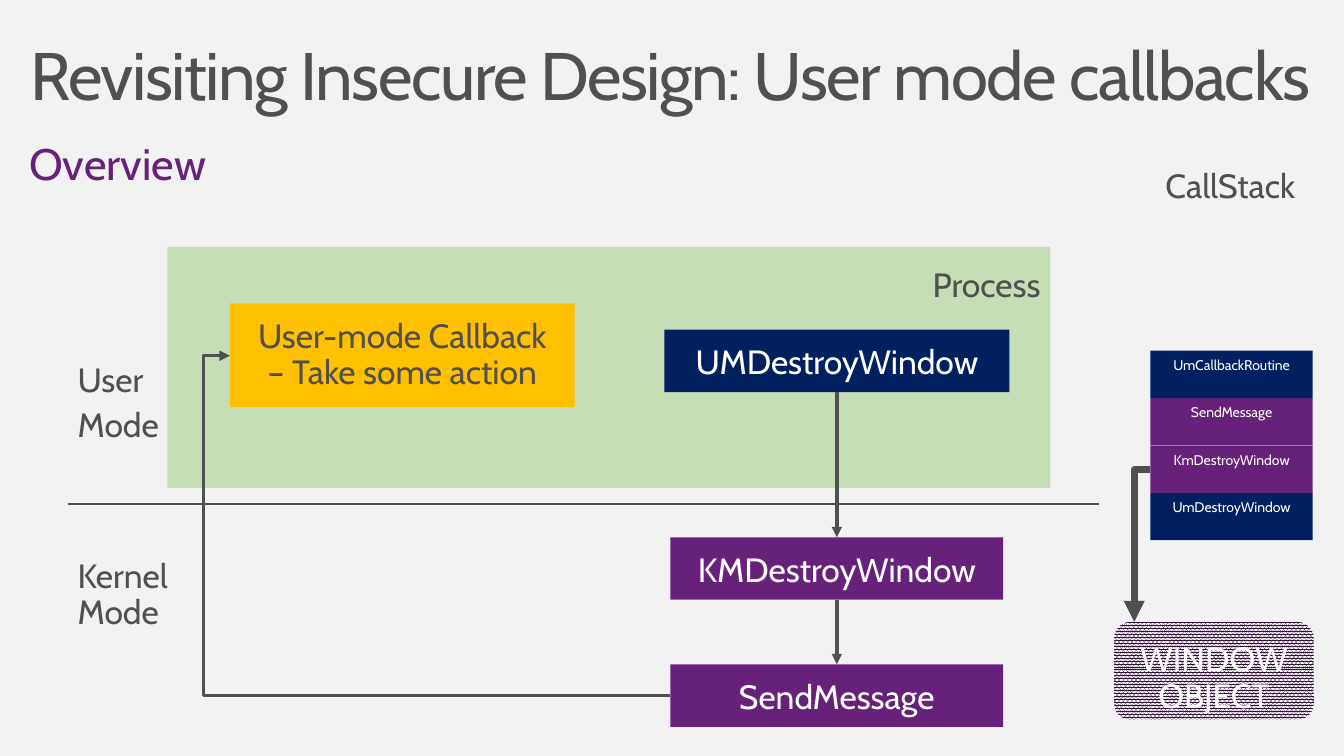
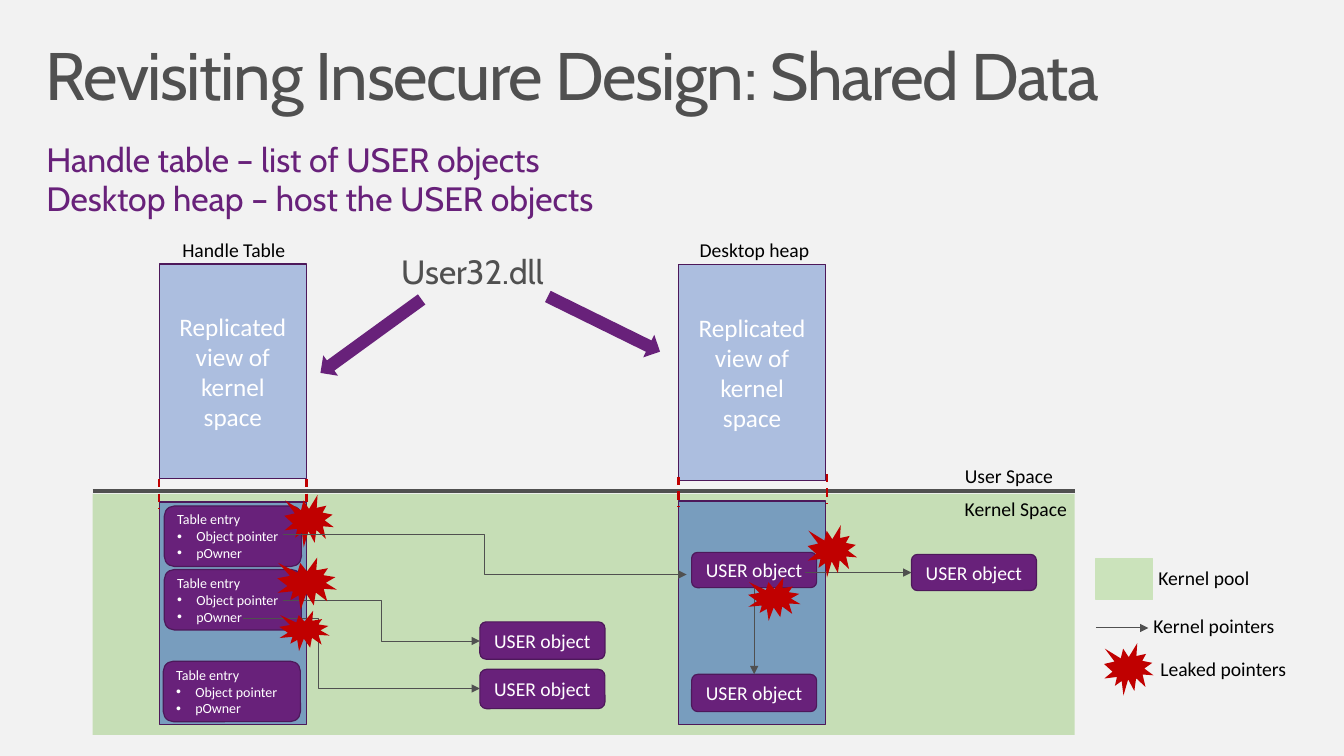
"""Build two slides on user mode callbacks and shared data."""
from dataclasses import dataclass, replace
from typing import NamedTuple, Sequence

from lxml.etree import SubElement
from pptx import Presentation
from pptx.dml.color import RGBColor
from pptx.dml.fill import FillFormat
from pptx.enum.dml import MSO_LINE, MSO_PATTERN
from pptx.enum.shapes import MSO_CONNECTOR as Link, MSO_SHAPE as Kind
from pptx.enum.text import MSO_ANCHOR as Anchor, MSO_AUTO_SIZE as Auto, PP_ALIGN as Align
from pptx.oxml.ns import qn
from pptx.shapes.autoshape import Shape
from pptx.shapes.connector import Connector
from pptx.slide import Slide
from pptx.util import Inches, Pt

PAPER, GREY, PURPLE, PLUM = "F2F2F2", "505050", "68217A", "4D185A"
NAVY, GOLD, GREEN, LIME = "002060", "FFC000", "A9D18E", "CBE3BB"
BLUE, RED, WHITE, BLACK = "4472C4", "C00000", "FFFFFF", "000000"


class Spot(NamedTuple):
    left: float
    top: float
    width: float
    height: float


class Point(NamedTuple):
    x: float
    y: float


class Run(NamedTuple):
    text: str
    size: float = 0


@dataclass(frozen=True)
class Style:
    size: float
    hue: str
    face: str = "Cabin"
    lead: float = 0.9
    before: float = 0
    after: float = 0
    align: Align = Align.LEFT
    pads: tuple[float, float] = (0.2, 0.16)
    anchor: Anchor = Anchor.TOP
    grow: bool = False
    wrap: bool = True
    space: int = 0
    dots: bool = False


TITLE = Style(48, GREY, pads=(0.16, 0.1), space=-100)
HEAD = Style(31.4, PURPLE, before=6.3, pads=(0.16, 0.1))
LIST = replace(HEAD, size=24.1, lead=0.8, before=4.8)
LABEL = Style(24, GREY, after=6, grow=True)
FREE = replace(LABEL, wrap=False)
STEP = Style(24, WHITE, align=Align.CENTER)
STACK = replace(STEP, size=10, after=6, grow=True)
NOTE = Style(14, BLACK, "Calibri", 1, pads=(0.1, 0.05), grow=True)
OBJECT = replace(NOTE, hue=WHITE, align=Align.CENTER, anchor=Anchor.MIDDLE, grow=False)
VIEW = replace(OBJECT, size=18)
ENTRY = replace(OBJECT, size=10, align=Align.LEFT, dots=True)


def tint(fill: FillFormat, hue: str, alpha: int = 100) -> None:
    fill.solid()
    fill.fore_color.rgb = RGBColor.from_string(hue)
    if alpha < 100:
        node = fill._xPr.find(qn("a:solidFill"))[0]
        SubElement(node, qn("a:alpha")).set("val", str(alpha * 1000))


def say(shape: Shape, lines: Sequence[Sequence[Run]], style: Style) -> None:
    frame = shape.text_frame
    frame.word_wrap = style.wrap
    frame.auto_size = Auto.SHAPE_TO_FIT_TEXT if style.grow else Auto.NONE
    frame.vertical_anchor = style.anchor
    frame.margin_left = frame.margin_right = Inches(style.pads[0])
    frame.margin_top = frame.margin_bottom = Inches(style.pads[1])
    for rank, line in enumerate(lines):
        para = frame.add_paragraph() if rank else frame.paragraphs[0]
        para.alignment, para.line_spacing = style.align, style.lead
        para.space_before, para.space_after = Pt(style.before), Pt(style.after)
        if style.dots and rank:
            prop = para._p.get_or_add_pPr()
            prop.set("marL", str(Inches(0.19)))
            prop.set("indent", str(Inches(-0.19)))
            SubElement(prop, qn("a:buFont")).set("typeface", "Arial")
            SubElement(prop, qn("a:buChar")).set("char", "•")
        for part in line:
            run = para.add_run()
            run.text = part.text
            run.font.name, run.font.size = style.face, Pt(part.size or style.size)
            tint(run.font.fill, style.hue)
            if style.space:
                run._r.get_or_add_rPr().set("spc", str(style.space))


def plain(*texts: str) -> list[list[Run]]:
    return [[Run(text)] for text in texts]


def write(slide: Slide, spot: Spot, lines: Sequence[Sequence[Run]], style: Style) -> None:
    say(slide.shapes.add_textbox(*map(Inches, spot)), lines, style)


def block(slide: Slide, kind: Kind, spot: Spot, hue: str, alpha: int = 100, edge: str = "") -> Shape:
    shape = slide.shapes.add_shape(kind, *map(Inches, spot))
    shape.shadow.inherit = False
    tint(shape.fill, hue, alpha)
    if edge:
        tint(shape.line.fill, edge)
        shape.line.width = Pt(0.85)
    else:
        shape.line.fill.background()
    return shape


def step(slide: Slide, spot: Spot, hue: str, text: str, style: Style = STEP) -> Shape:
    shape = block(slide, Kind.RECTANGLE, spot, hue)
    say(shape, plain(text), style)
    return shape


def pill(slide: Slide, spot: Spot, style: Style, *texts: str) -> Shape:
    shape = block(slide, Kind.ROUNDED_RECTANGLE, spot, PURPLE, edge=PLUM)
    say(shape, plain(*texts), style)
    return shape


def wire(slide: Slide, start: Point, end: Point, width: float, hue: str = GREY,
         kind: Link = Link.STRAIGHT, head: bool = True, dash: bool = False) -> Connector:
    line = slide.shapes.add_connector(kind, *map(Inches, (*start, *end)))
    line.line.width = Pt(width)
    tint(line.line.fill, hue)
    if dash:
        line.line.dash_style = MSO_LINE.DASH
    prop = line._element.spPr
    if head:
        SubElement(prop.find(qn("a:ln")), qn("a:tailEnd")).set("type", "triangle")
    SubElement(prop, qn("a:effectLst"))
    return line


def bend(slide: Slide, start: Point, end: Point, width: float, turn: float = 0.5) -> None:
    line = wire(slide, start, end, width, kind=Link.ELBOW)
    geom = line._element.spPr.find(qn("a:prstGeom"))
    if turn == 1:
        geom.set("prst", "bentConnector2")
    else:
        guide = SubElement(geom.find(qn("a:avLst")), qn("a:gd"))
        guide.set("name", "adj1")
        guide.set("fmla", f"val {round(turn * 100000)}")


def calls(slide: Slide) -> None:
    block(slide, Kind.RECTANGLE, Spot(1.66, 2.45, 8.76, 2.39), GREEN, 60)
    write(slide, Spot(0.14, 0.32, 13.06, 0.98),
          plain("Revisiting Insecure Design: User mode callbacks"), TITLE)
    write(slide, Spot(0.13, 1.31, 12.74, 0.68), plain("Overview"), HEAD)
    wire(slide, Point(0.67, 5), Point(10.9, 5), 0.75, head=False)

    step(slide, Spot(2.28, 3.01, 3.42, 1.03), GOLD,
         "User-mode Callback – Take some action", replace(STEP, hue=GREY))
    chain = [step(slide, Spot(8.3 - width / 2, top, width, 0.62), hue, text)
             for top, width, hue, text in (
                 (3.27, 3.42, NAVY, "UMDestroyWindow"),
                 (5.33, 3.3, PURPLE, "KMDestroyWindow"),
                 (6.59, 3.3, PURPLE, "SendMessage"))]
    for upper, lower in zip(chain, chain[1:]):
        line = wire(slide, Point(8.3, 3.89), Point(8.3, 5.33), 2.5)
        line.begin_connect(upper, 2)
        line.end_connect(lower, 0)
    bend(slide, Point(6.65, 6.9), Point(2.28, 3.53), 2.5, 1.06)

    write(slide, Spot(0.57, 5.39, 1.34, 1.05), plain("Kernel Mode"), LABEL)
    write(slide, Spot(0.57, 3.45, 1.34, 1.13), plain("User", "Mode"), LABEL)
    write(slide, Spot(9.05, 2.5, 1.52, 0.69), plain("Process"), FREE)
    write(slide, Spot(11.36, 1.52, 1.73, 0.69), plain("CallStack"), FREE)

    frames = ((NAVY, "UmDestroyWindow"), (PURPLE, "KmDestroyWindow"),
              (PURPLE, "SendMessage"), (NAVY, "UmCallbackRoutine"))
    for rank, (hue, text) in enumerate(frames):
        step(slide, Spot(11.41, 4.89 - 0.47 * rank, 1.61, 0.47), hue, text, STACK)

    window = block(slide, Kind.ROUNDED_RECTANGLE, Spot(11.05, 6.17, 1.98, 0.97), PLUM)
    window.fill.patterned()
    window.fill.pattern = MSO_PATTERN.PERCENT_80
    window.fill.fore_color.rgb = RGBColor.from_string("34103D")
    window.fill.back_color.rgb = RGBColor.from_string(WHITE)
    say(window, plain("WINDOW OBJECT"), STEP)
    bend(slide, Point(11.41, 4.66), Point(11.25, 6.17), 5, 1)


def shared(slide: Slide) -> None:
    block(slide, Kind.RECTANGLE, Spot(0.92, 4.9, 9.74, 2.39), GREEN, 60)
    write(slide, Spot(0.29, 0.32, 12.75, 0.98),
          [[Run("Revisiting Insecure Design"), Run(": Shared Data", 47)]], TITLE)
    write(slide, Spot(0.3, 1.35, 12.74, 0.99),
          plain("Handle table – list of USER objects", "Desktop heap – host the USER objects"), LIST)
    wire(slide, Point(0.92, 4.87), Point(10.66, 4.87), 3, head=False)

    for left, base, tall in ((1.58, 4.98, 2.13), (6.73, 4.97, 2.15)):
        block(slide, Kind.RECTANGLE, Spot(left, base, 1.46, 7.19 - base), BLUE, 60, PLUM)
        view = block(slide, Kind.RECTANGLE, Spot(left, 2.62, 1.46, tall), BLUE, 40, PLUM)
        say(view, plain("Replicated view of kernel space"), VIEW)
    for x, y in ((1.58, 4.75), (3.04, 4.75), (6.73, 4.73), (8.2, 4.7)):
        wire(slide, Point(x, y), Point(x, y + 0.3), 1.5, RED, head=False, dash=True)

    block(slide, Kind.RECTANGLE, Spot(10.87, 5.54, 0.56, 0.41), LIME, edge=LIME)
    for left, top, width, text in (
            (1.71, 2.31, 1.36, "Handle Table"), (6.84, 2.31, 1.36, "Desktop heap"),
            (9.47, 4.55, 1.15, "User Space"), (9.47, 4.88, 1.24, "Kernel Space"),
            (11.39, 5.57, 1.15, "Kernel pool"), (11.34, 6.04, 1.48, "Kernel pointers"),
            (11.41, 6.47, 1.48, "Leaked pointers")):
        write(slide, Spot(left, top, width, 0.34), plain(text), NOTE)

    for left, top in ((1.63, 5.02), (1.63, 5.65), (1.62, 6.56)):
        pill(slide, Spot(left, top, 1.36, 0.6), ENTRY, "Table entry", "Object pointer", "pOwner")
    heap, child, owner, *_ = [
        pill(slide, Spot(left, top, 1.24, height), OBJECT, "USER object")
        for left, top, height in ((6.86, 5.48, 0.35), (6.86, 6.69, 0.37), (9.04, 5.5, 0.36),
                                  (4.76, 6.17, 0.37), (4.76, 6.64, 0.39))]

    bend(slide, Point(2.81, 5.96), Point(4.76, 6.36), 0.75)
    wire(slide, Point(7.98, 5.68), Point(9.04, 5.68), 0.75).end_connect(owner, 1)
    down = wire(slide, Point(7.48, 5.83), Point(7.48, 6.69), 0.75)
    down.begin_connect(heap, 2)
    down.end_connect(child, 0)
    wire(slide, Point(10.87, 6.23), Point(11.39, 6.23), 0.75)

    bend(slide, Point(2.41, 6.14), Point(4.76, 6.83), 0.75, 0.32)
    for spot in (Spot(2.82, 4.91, 0.49, 0.52), Spot(2.75, 5.53, 0.59, 0.52),
                 Spot(8.01, 5.21, 0.49, 0.52), Spot(7.42, 5.73, 0.52, 0.43),
                 Spot(10.95, 6.38, 0.49, 0.52), Spot(2.77, 6.06, 0.5, 0.4)):
        block(slide, Kind.EXPLOSION1, spot, RED)
    bend(slide, Point(2.81, 5.3), Point(6.81, 5.7), 0.75)

    write(slide, Spot(3.78, 2.37, 1.87, 0.69), plain("User32.dll"), FREE)
    for left, top, turn in ((3.06, 3.21, 324), (5.37, 3.09, 206.2)):
        block(slide, Kind.LEFT_ARROW, Spot(left, top, 1.24, 0.25), PURPLE).rotation = turn


def main() -> None:
    deck = Presentation()
    deck.slide_width, deck.slide_height = Inches(13.33), Inches(7.5)
    tint(deck.slide_master.background.fill, PAPER)
    for draw in (calls, shared):
        draw(deck.slides.add_slide(deck.slide_layouts[6]))
    deck.save("out.pptx")


if __name__ == "__main__":
    main()
